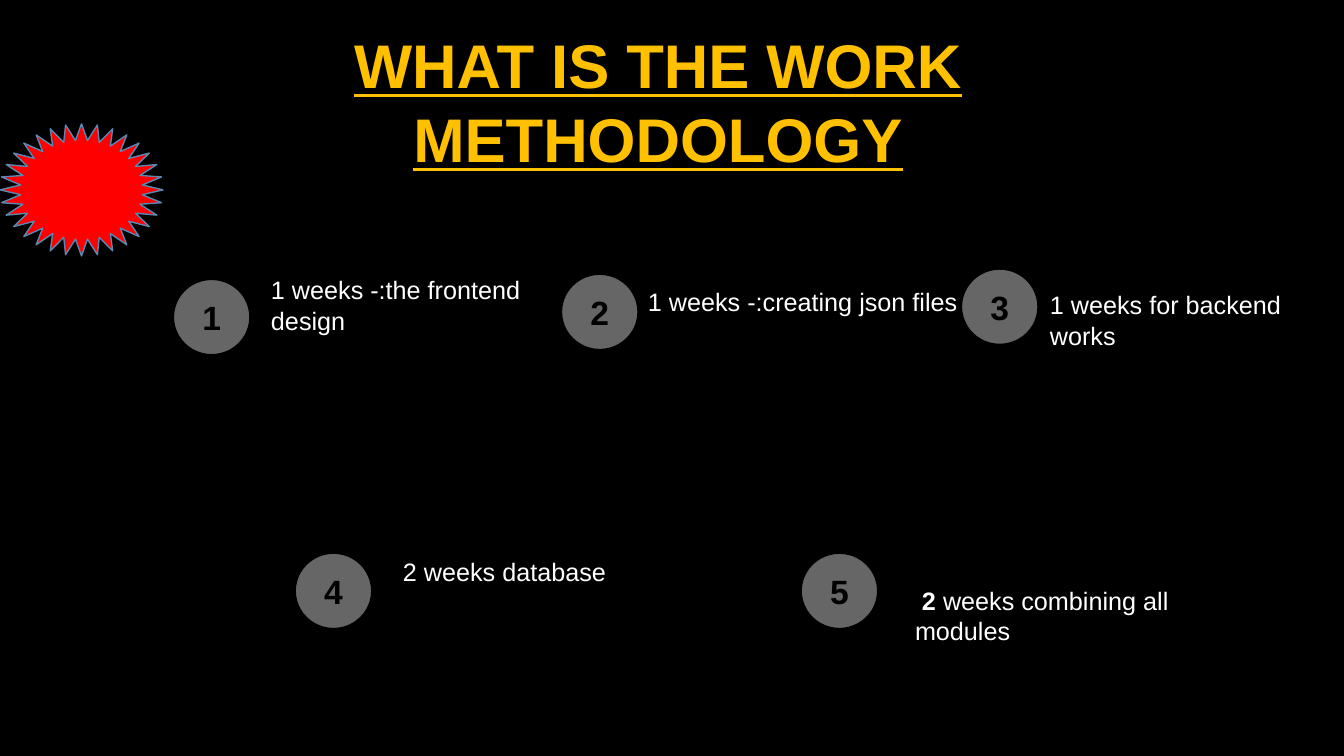
"""Build the work methodology slide with its five numbered project steps."""
from pptx import Presentation
from pptx.dml.color import RGBColor
from pptx.enum.shapes import MSO_SHAPE
from pptx.enum.text import MSO_ANCHOR, PP_ALIGN
from pptx.util import Cm, Pt

CIRCLE = MSO_SHAPE.OVAL
STAR = MSO_SHAPE.STAR_32_POINT
TOP, MIDDLE = MSO_ANCHOR.TOP, MSO_ANCHOR.MIDDLE
LEFT, CENTER = PP_ALIGN.LEFT, PP_ALIGN.CENTER

FONT = "Arial"
COLOURS = {
    "background": "000000",
    "title": "FFC000",
    "text": "FFFFFF",
    "number": "000000",
    "circle": "666666",
    "circle_line": "000000",
    "star": "FF0000",
    "star_line": "5C87B1",
}
CIRCLE_SIZE = (1.93, 1.9)
INSET = 0.13
LINE_HEIGHT = 0.72

# Each step: circle corner, text box (left, top, width, height),
# lines of space above the text, and (text, bold) pieces.
STEPS = [
    ((4.37, 7.04), (6.58, 6.07, 7.75, 2.57), 1,
     [("1 weeks -:the frontend design", False)]),
    ((14.15, 6.91), (16.08, 7.09, 8.36, 2.57), 0,
     [("1 weeks -:creating json files", False)]),
    ((24.23, 6.78), (26.21, 6.45, 7.11, 4.09), 1,
     [("1 weeks for backend works", False)]),
    ((7.44, 13.94), (9.73, 13.18, 6.86, 2.57), 1,
     [(" ", True), ("2 weeks database", False)]),
    ((20.19, 13.94), (22.81, 13.89, 8.05, 3.33), 1,
     [(" 2 ", True), ("weeks combining all modules", False)]),
]


def colour(name):
    """Return the named colour of the slide."""
    return RGBColor.from_string(COLOURS[name])


def write(para, text, size=18, ink="text", bold=False, underline=False):
    """Add formatted text to a paragraph."""
    span = para.add_run()
    span.text = text
    font = span.font
    font.name, font.size = FONT, Pt(size)
    font.bold, font.underline = bold, underline
    font.color.rgb = colour(ink)


def first_paragraph(shape, align=LEFT, anchor=TOP):
    """Turn on wrapping and return the aligned first paragraph."""
    frame = shape.text_frame
    frame.word_wrap = True
    frame.vertical_anchor = anchor
    para = frame.paragraphs[0]
    para.alignment = align
    return para


def add_text_box(page, place, align=LEFT, side_inset=0.25, top_inset=INSET):
    """Add a text box and return its first paragraph."""
    box = page.shapes.add_textbox(*map(Cm, place))
    frame = box.text_frame
    frame.margin_left = frame.margin_right = Cm(side_inset)
    frame.margin_top = Cm(top_inset)
    return first_paragraph(box, align)


def add_figure(page, kind, place, fill, line):
    """Add a filled and outlined preset shape."""
    shape = page.shapes.add_shape(kind, *map(Cm, place))
    shape.shadow.inherit = False
    shape.fill.solid()
    shape.fill.fore_color.rgb = colour(fill)
    shape.line.color.rgb = colour(line)
    shape.line.width = Pt(1)
    return shape


def add_number(page, number, corner):
    """Add the numbered circle of a step."""
    circle = add_figure(page, CIRCLE, corner + CIRCLE_SIZE, "circle", "circle_line")
    para = first_paragraph(circle, CENTER, MIDDLE)
    write(para, str(number), size=24, ink="number", bold=True)


def add_step(page, number, corner, place, lines_above, pieces):
    """Add the text of a step and its numbered circle."""
    para = add_text_box(page, place, top_inset=INSET + lines_above * LINE_HEIGHT)
    for text, bold in pieces:
        write(para, text, bold=bold)
    add_number(page, number, corner)


def main():
    """Build and save the slide."""
    deck = Presentation()
    deck.slide_width, deck.slide_height = Cm(33.87), Cm(19.05)
    page = deck.slides.add_slide(deck.slide_layouts[6])
    page.background.fill.solid()
    page.background.fill.fore_color.rgb = colour("background")

    title = add_text_box(page, (2.29, 0.56, 28.6, 2.13), CENTER, side_inset=0.5)
    write(title, "WHAT IS THE WORK METHODOLOGY", size=44, ink="title",
          bold=True, underline=True)
    add_figure(page, STAR, (0, 3.12, 4.11, 3.33), "star", "star_line")
    for number, step in enumerate(STEPS, start=1):
        add_step(page, number, *step)
    deck.save("out.pptx")


main()
